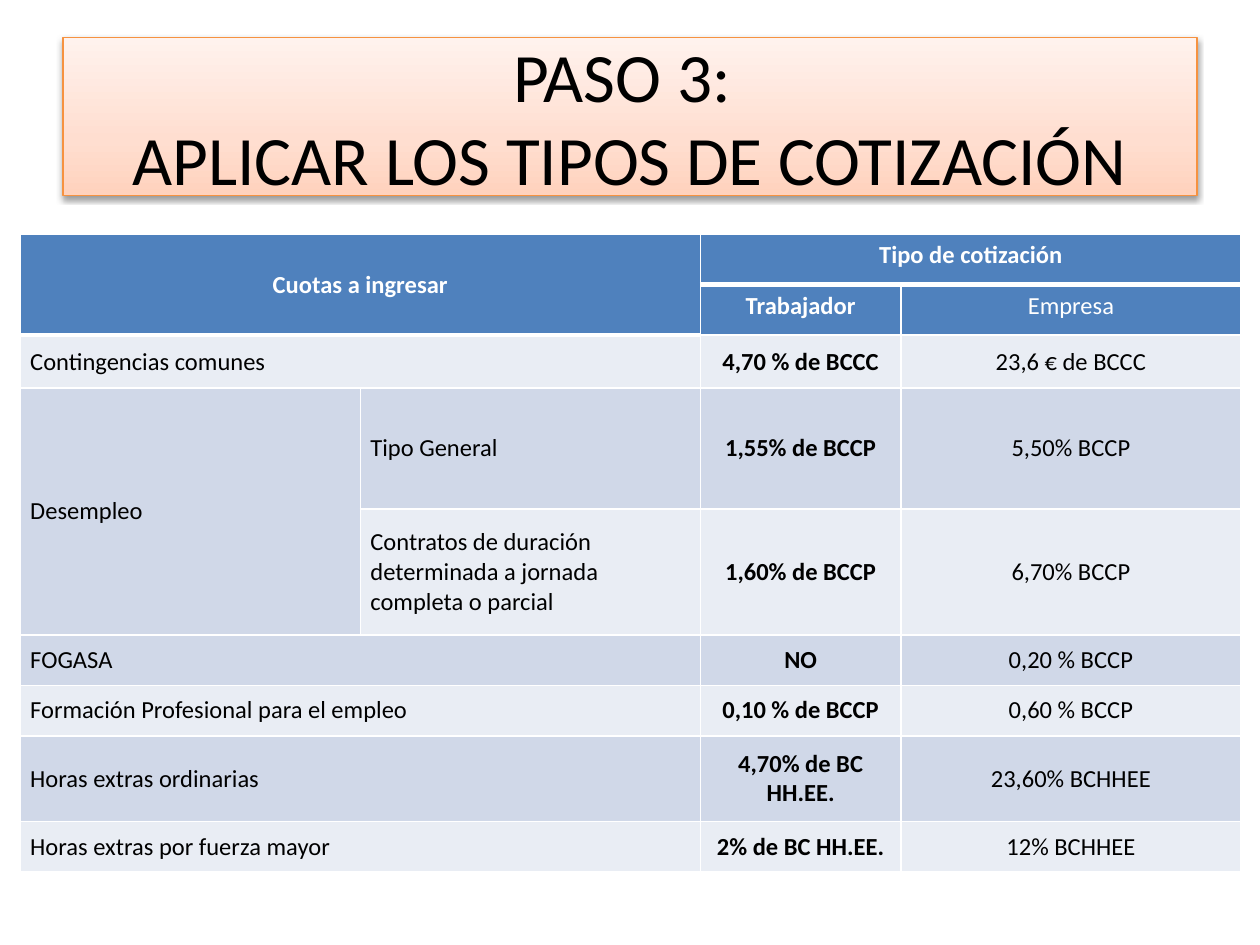
from dataclasses import dataclass

from lxml.etree import SubElement
from pptx import Presentation
from pptx.dml.color import RGBColor
from pptx.enum.text import MSO_ANCHOR, MSO_AUTO_SIZE, PP_ALIGN
from pptx.oxml import parse_xml
from pptx.oxml.ns import nsdecls, qn
from pptx.util import Inches, Pt


@dataclass(frozen=True)
class Theme:
    font: str = "Calibri"
    title_size: float = 39.6
    table_size: float = 14
    black: str = "000000"
    white: str = "FFFFFF"
    header: str = "4F81BD"
    bands: tuple = ("E9EDF4", "D0D8E8")
    title_line: str = "F69240"
    title_stops: tuple = ((0, "FFD2BD"), (35, "FFDED0"), (100, "FFF2ED"))


theme = Theme()


def set_font(para, size, color, bold=False):
    para.font.name = theme.font
    para.font.size = Pt(size)
    para.font.bold = bold
    para.font.color.rgb = RGBColor.from_string(color)


def add_border(cell, side, points):
    line = SubElement(cell._tc.get_or_add_tcPr(), qn(f"a:{side}"), w=str(Pt(points)))
    fill = SubElement(line, qn("a:solidFill"))
    SubElement(fill, qn("a:srgbClr"), val=theme.white)


deck = Presentation()
deck.slide_width, deck.slide_height = Inches(10), Inches(7.5)
page = deck.slides.add_slide(deck.slide_layouts[5])

# Title panel with gradient, outline and soft shadow
title = page.shapes.title
title.left, title.top = Inches(0.5), Inches(0.3)
title.width, title.height = Inches(9), Inches(1.25)
stops = "".join(
    f'<a:gs pos="{position * 1000}"><a:srgbClr val="{color}"/></a:gs>'
    for position, color in theme.title_stops
)
properties = title._element.spPr
properties.append(parse_xml(
    f'<a:gradFill {nsdecls("a")} rotWithShape="1"><a:gsLst>{stops}</a:gsLst>'
    '<a:lin ang="16200000" scaled="0"/></a:gradFill>'
))
title.line.color.rgb = RGBColor.from_string(theme.title_line)
title.line.width = Pt(0.75)
properties.append(parse_xml(
    f'<a:effectLst {nsdecls("a")}><a:outerShdw blurRad="{Pt(3.1)}" dist="{Pt(1.6)}" '
    f'dir="5400000" rotWithShape="0"><a:srgbClr val="{theme.black}">'
    '<a:alpha val="38000"/></a:srgbClr></a:outerShdw></a:effectLst>'
))
frame = title.text_frame
frame.text = "PASO 3: \vAPLICAR LOS TIPOS DE COTIZACIÓN"
frame.word_wrap = True
frame.auto_size = MSO_AUTO_SIZE.NONE
frame.vertical_anchor = MSO_ANCHOR.MIDDLE
frame.paragraphs[0].alignment = PP_ALIGN.CENTER
set_font(frame.paragraphs[0], theme.title_size, theme.black)

# Contribution table
rows = [
    ("Cuotas a ingresar", "", "Tipo de cotización", ""),
    ("", "", "Trabajador", "Empresa"),
    ("Contingencias comunes", "", "4,70 % de BCCC", "23,6 € de BCCC"),
    ("Desempleo", "Tipo General", "1,55% de BCCP", "5,50% BCCP"),
    ("", "Contratos de duración determinada a jornada completa o parcial",
     "1,60% de BCCP", "6,70% BCCP"),
    ("FOGASA", "", "NO", "0,20 % BCCP"),
    ("Formación Profesional para el empleo", "", "0,10 % de BCCP", "0,60 % BCCP"),
    ("Horas extras ordinarias", "", "4,70% de BC HH.EE.", "23,60% BCHHEE"),
    ("Horas extras por fuerza mayor", "", "2% de BC HH.EE.", "12% BCHHEE"),
]
widths = (2.7, 2.7, 1.59, 2.7)
heights = (0.4, 0.4, 0.42, 0.96, 1, 0.4, 0.4, 0.68, 0.4)
table = page.shapes.add_table(
    len(rows), len(widths), Inches(0.16), Inches(1.86),
    Inches(sum(widths)), Inches(sum(heights)),
).table
for column, width in zip(table.columns, widths):
    column.width = Inches(width)
for row, height in zip(table.rows, heights):
    row.height = Inches(height)

# Merged cells: the header, the wide labels and the two-row label
table.cell(0, 0).merge(table.cell(1, 1))
table.cell(0, 2).merge(table.cell(0, 3))
table.cell(3, 0).merge(table.cell(4, 0))
for r in (2, 5, 6, 7, 8):
    table.cell(r, 0).merge(table.cell(r, 1))

# Cell text, fills and borders; thick edges are named by the cell below them
thick_edges = {(1, 2), (1, 3), (2, 0), (2, 1)}
for r, texts in enumerate(rows):
    for c, text in enumerate(texts):
        cell = table.cell(r, c)
        is_header = r < 2
        below = r + (cell.span_height if cell.is_merge_origin else 1)
        for side, edge in (("lnL", None), ("lnR", None), ("lnT", (r, c)), ("lnB", (below, c))):
            add_border(cell, side, 3 if edge in thick_edges else 1)
        cell.fill.solid()
        # The label spanning two rows keeps the band of its first row
        color = theme.header if is_header else theme.bands[r % 2]
        cell.fill.fore_color.rgb = RGBColor.from_string(color)
        cell.margin_left = cell.margin_right = Inches(0.08)
        if cell.is_spanned:
            continue
        cell.text = text
        cell.vertical_anchor = MSO_ANCHOR.TOP if is_header and c > 1 else MSO_ANCHOR.MIDDLE
        para = cell.text_frame.paragraphs[0]
        para.alignment = PP_ALIGN.CENTER if is_header or c > 1 else PP_ALIGN.LEFT
        set_font(para, theme.table_size, theme.white if is_header else theme.black,
                 bold=c == 2 or (r, c) == (0, 0))

deck.save("out.pptx")
